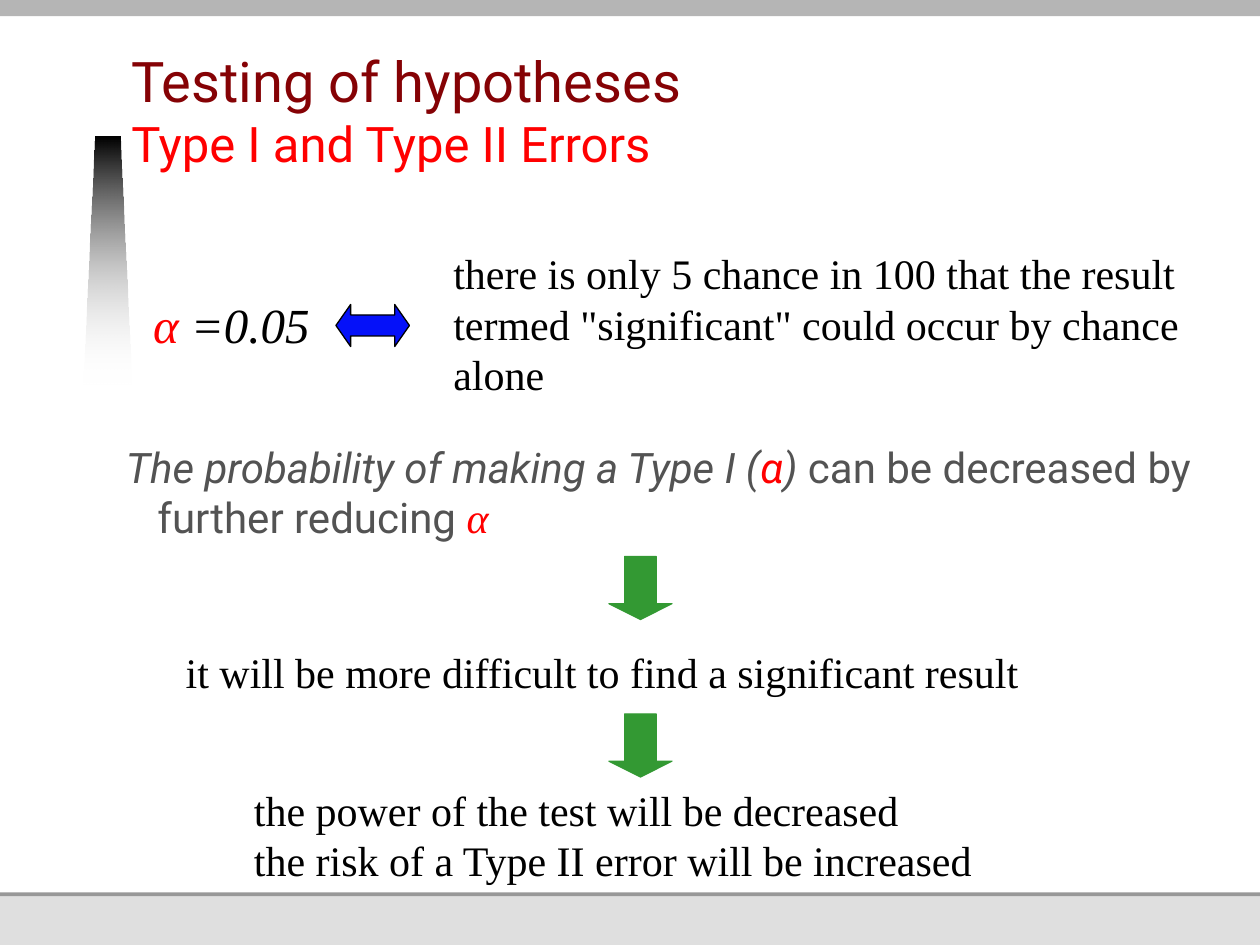
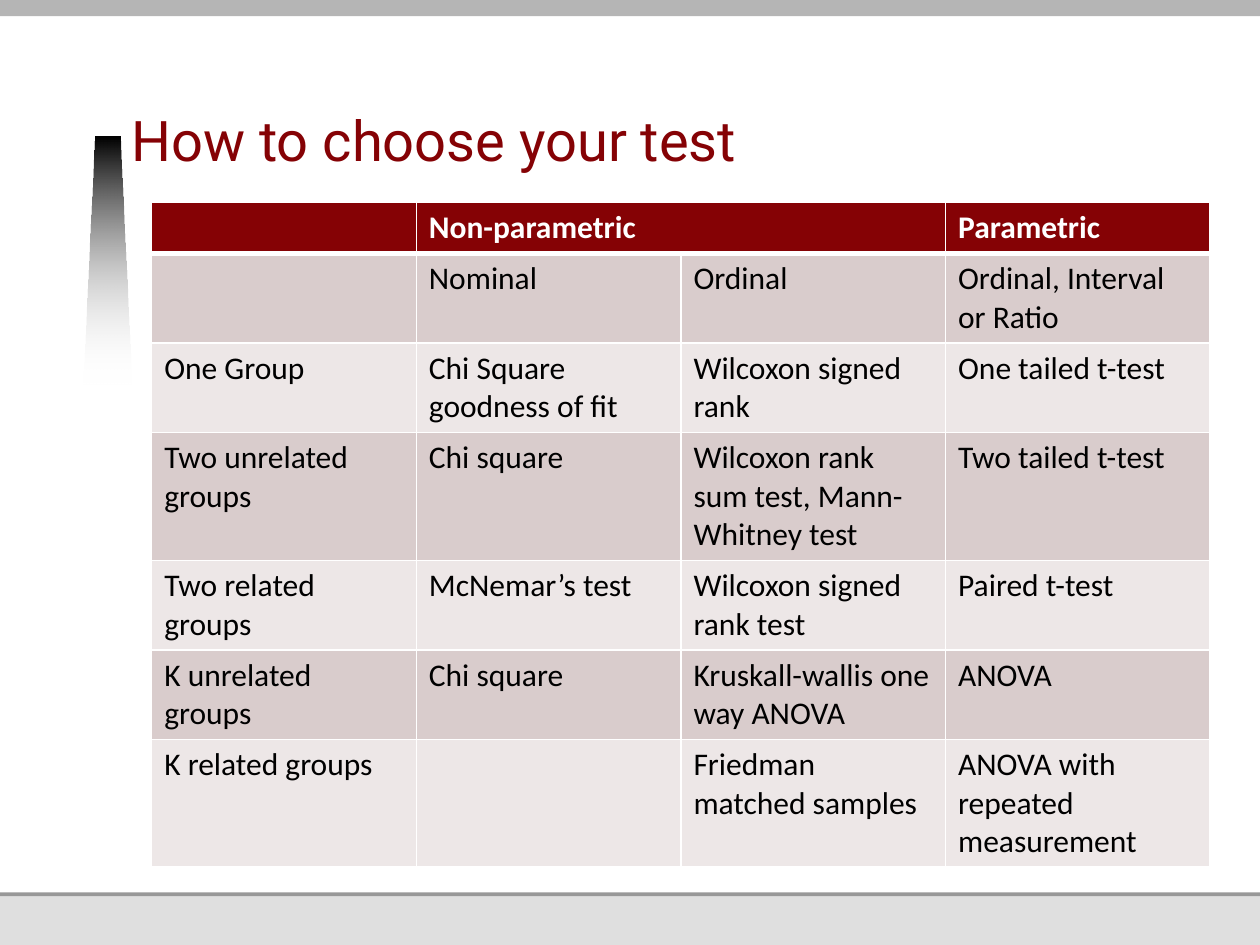
"""Builds two statistics slides: Type I and II errors, and a guide to choosing a test."""
from dataclasses import dataclass
from typing import Sequence

from lxml import etree
from pptx import Presentation
from pptx import util as u
from pptx.dml.color import RGBColor
from pptx.enum import shapes, text
from pptx.oxml import ns

COLUMNS, ROWS = 120, 90
CELL = u.Inches(10) / COLUMNS

BLACK, WHITE, RED = "000000", "FFFFFF", "FF0000"
MAROON, GREY_TEXT = "850205", "535353"
BLUE, GREEN = "0511F9", "339933"
STRIPES = ("D9CCCC", "EDE7E7")
HEADING, SERIF, TABLE_FONT = "Roboto", "Times New Roman", "Calibri"
LINE_BREAK = "\n"


@dataclass(frozen=True)
class Area:
    """A rectangle in grid columns and rows."""
    left: float
    top: float
    width: float
    height: float

    def emu(self) -> list[int]:
        """Gives left, top, width and height as slide lengths."""
        return [grid(n) for n in (self.left, self.top, self.width, self.height)]


@dataclass(frozen=True)
class Span:
    """A stretch of text in one format."""
    text: str
    size: float = 24
    font: str = SERIF
    color: str = BLACK
    italic: bool = False
    bold: bool = False


@dataclass(frozen=True)
class TextBlock:
    """A text box; indents are in grid columns."""
    area: Area
    paragraphs: Sequence[Sequence[Span]]
    indent: float = 0
    hanging: float = 0
    wrap: bool = True
    placeholder_insets: bool = False
    anchor: text.MSO_ANCHOR = text.MSO_ANCHOR.TOP
    spacing: float | None = None


@dataclass(frozen=True)
class Block:
    """A filled preset shape."""
    area: Area
    fill: str
    kind: shapes.MSO_SHAPE = shapes.MSO_SHAPE.RECTANGLE
    line: str | None = None
    adjustments: tuple[float, ...] = ()


BANDS = (
    Block(Area(0, 0, COLUMNS, ROWS), "DFDFDF"),
    Block(Area(0, 21.35, COLUMNS, 64), "989898"),
    Block(Area(0, 0, COLUMNS, 85), WHITE),
    Block(Area(0, 0, COLUMNS, 1.55), "B5B5B5"),
)
WEDGE = ((8, 36.6), (9.1, 13), (11.4, 13), (12.5, 36.6))
WEDGE_STEPS = 100

DOUBLE_ARROW = Block(Area(32, 29, 7, 4), BLUE, shapes.MSO_SHAPE.LEFT_RIGHT_ARROW,
                     BLACK, (0.5, 0.35))
DOWN_ARROWS = [Block(Area(58, row, 6, 6), GREEN, shapes.MSO_SHAPE.DOWN_ARROW,
                     GREEN, (0.5, 0.25)) for row in (53, 68)]

PROBABILITY = [
    Span("The probability of making a Type I (", 24, HEADING, GREY_TEXT, True),
    Span("α", 24, HEADING, RED, True),
    Span(") ", 24, HEADING, GREY_TEXT, True),
    Span("can be decreased by further reducing ", 24, HEADING, GREY_TEXT),
    Span("α", color=RED, italic=True),
]
ERROR_TEXTS = (
    TextBlock(Area(12, 42.05, 102, 12), [PROBABILITY], 3, 3, placeholder_insets=True),
    TextBlock(Area(13.4, 27.5, 19, 6.8),
              [[Span("α ", 28, color=RED, italic=True), Span("=0.05", 28, italic=True)]],
              wrap=False),
    TextBlock(Area(42, 23, 73, 15.6),
              [[Span("there is only 5 chance in 100 that the result termed "
                     "\"significant\" could occur by chance alone")]]),
    TextBlock(Area(12, 61, 94, 7),
              [[Span("it will be more difficult to find a significant result")]], 4.5),
    TextBlock(Area(17, 74.1, 88, 11),
              [[Span("the power of the test will be decreased")],
               [Span("the risk of a Type II error will be increased")]], 6),
)

TABLE_AREA = Area(14.45, 19.3, 100.8, 63.5)
TESTS = (
    ("", "Non-parametric", "", "Parametric"),
    ("", "Nominal", "Ordinal", "Ordinal, Interval or Ratio"),
    ("One Group", "Chi Square goodness of fit", "Wilcoxon signed rank", "One tailed t-test"),
    ("Two unrelated groups", "Chi square", "Wilcoxon rank sum test, Mann-Whitney test",
     "Two tailed t-test"),
    ("Two related groups", "McNemar’s test", "Wilcoxon signed rank test", "Paired t-test"),
    ("K unrelated groups", "Chi square", "Kruskall-wallis one way ANOVA", "ANOVA"),
    ("K related groups", "", "Friedman matched samples", "ANOVA with repeated measurement"),
)
LINES_PER_ROW = (1, 2, 2, 3, 2, 2, 3)
ROW_PADDING, TEXT_LINE = 1.2, 3.66


def grid(cells: float) -> int:
    """Turns a number of grid cells into a slide length."""
    return round(cells * CELL)


def rgb(code: str) -> RGBColor:
    """Turns a hex string into a colour."""
    return RGBColor.from_string(code)


def format_run(run, span: Span) -> None:
    """Gives a run the format of a span."""
    font = run.font
    font.size, font.name = u.Pt(span.size), span.font
    font.italic, font.bold = span.italic, span.bold
    font.color.rgb = rgb(span.color)


def add_text(page, block: TextBlock) -> None:
    """Draws a text box."""
    box = page.shapes.add_textbox(*block.area.emu())
    frame = box.text_frame
    frame.word_wrap, frame.vertical_anchor = block.wrap, block.anchor
    if block.placeholder_insets:
        frame.margin_left = frame.margin_right = frame.margin_top = 0
        frame.margin_bottom = u.Inches(0.05)
    for number, spans in enumerate(block.paragraphs):
        para = frame.add_paragraph() if number else frame.paragraphs[0]
        properties = para._p.get_or_add_pPr()
        properties.set("marL", str(grid(block.indent)))
        properties.set("indent", str(-grid(block.hanging)))
        if block.spacing:
            para.line_spacing = u.Pt(block.spacing)
        for span in spans:
            if span.text == LINE_BREAK:
                para.add_line_break()
                continue
            run = para.add_run()
            run.text = span.text
            format_run(run, span)


def add_block(page, block: Block) -> None:
    """Draws a preset shape."""
    shape = page.shapes.add_shape(block.kind, *block.area.emu())
    shape.shadow.inherit = False
    shape.fill.solid()
    shape.fill.fore_color.rgb = rgb(block.fill)
    for index, value in enumerate(block.adjustments):
        shape.adjustments[index] = value
    if block.line:
        shape.line.color.rgb = rgb(block.line)
        shape.line.width = u.Pt(0.75)
    else:
        shape.line.fill.background()


def add_wedge(page) -> None:
    """Draws the wedge beside the title, fading from black to clear."""
    start, *others = [(x * WEDGE_STEPS, y * WEDGE_STEPS) for x, y in WEDGE]
    builder = page.shapes.build_freeform(*start, scale=CELL / WEDGE_STEPS)
    builder.add_line_segments(others, close=True)
    wedge = builder.convert_to_shape()
    wedge.shadow.inherit = False
    wedge.line.fill.background()
    wedge.fill.gradient()
    wedge.fill.gradient_angle = 270
    for stop, color in zip(wedge.fill.gradient_stops, (BLACK, WHITE)):
        stop.color.rgb = rgb(color)
    last_color = wedge._element.spPr.findall(".//" + ns.qn("a:srgbClr"))[-1]
    etree.SubElement(last_color, ns.qn("a:alpha"), val="0")


def add_page(deck, title: str, subtitle: str = ""):
    """Adds a page with the shared bands, wedge and title."""
    page = deck.slides.add_slide(deck.slide_layouts[6])
    for band in BANDS:
        add_block(page, band)
    add_wedge(page)
    spans = [Span(title, 32, HEADING, MAROON)]
    if subtitle:
        spans += [Span(LINE_BREAK), Span(subtitle, 28, HEADING, RED)]
    add_text(page, TextBlock(Area(12.5, 4.05, 82.4, 13), [spans], placeholder_insets=True,
                             anchor=text.MSO_ANCHOR.BOTTOM, spacing=34))
    return page


def set_borders(cell, bottom: float) -> None:
    """Gives a cell white borders, with its own bottom width in points."""
    properties = cell._tc.get_or_add_tcPr()
    widths = {"a:lnL": 1, "a:lnR": 1, "a:lnT": 1, "a:lnB": bottom}
    for index, (tag, width) in enumerate(widths.items()):
        line = etree.Element(ns.qn(tag), w=str(u.Pt(width)))
        fill = etree.SubElement(line, ns.qn("a:solidFill"))
        etree.SubElement(fill, ns.qn("a:srgbClr"), val=WHITE)
        properties.insert(index, line)


def add_tests_table(page) -> None:
    """Draws the table of tests by group and data type."""
    table = page.shapes.add_table(len(TESTS), len(TESTS[0]), *TABLE_AREA.emu()).table
    for column in table.columns:
        column.width = grid(TABLE_AREA.width / len(TESTS[0]))
    for row, (words, lines) in enumerate(zip(TESTS, LINES_PER_ROW)):
        table.rows[row].height = grid(ROW_PADDING + TEXT_LINE * lines)
        header = row == 0
        for column, word in enumerate(words):
            cell = table.cell(row, column)
            cell.fill.solid()
            cell.fill.fore_color.rgb = rgb(MAROON if header else STRIPES[(row - 1) % 2])
            set_borders(cell, 3 if header else 1)
            if word:
                cell.text_frame.text = word
                format_run(cell.text_frame.paragraphs[0].runs[0],
                           Span(word, 18, TABLE_FONT, WHITE if header else BLACK, bold=header))
    table.cell(0, 1).merge(table.cell(0, 2))


def main() -> None:
    """Builds and saves the deck."""
    deck = Presentation()
    deck.slide_width, deck.slide_height = grid(COLUMNS), grid(ROWS)
    errors = add_page(deck, "Testing of hypotheses", "Type I and Type II Errors")
    for arrow in (DOUBLE_ARROW, *DOWN_ARROWS):
        add_block(errors, arrow)
    for block in ERROR_TEXTS:
        add_text(errors, block)
    add_tests_table(add_page(deck, "How to choose your test"))
    deck.save("out.pptx")


if __name__ == "__main__":
    main()
